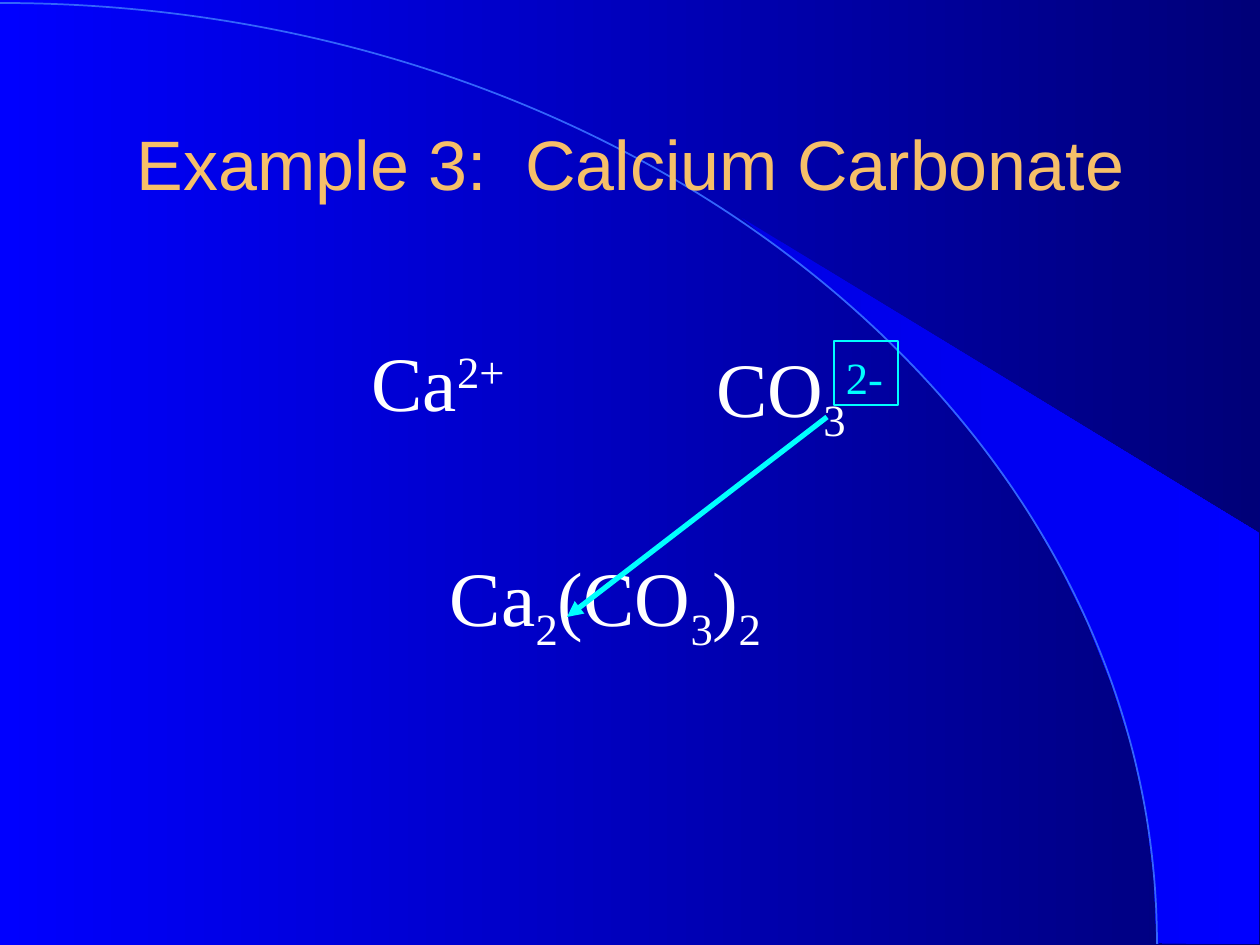
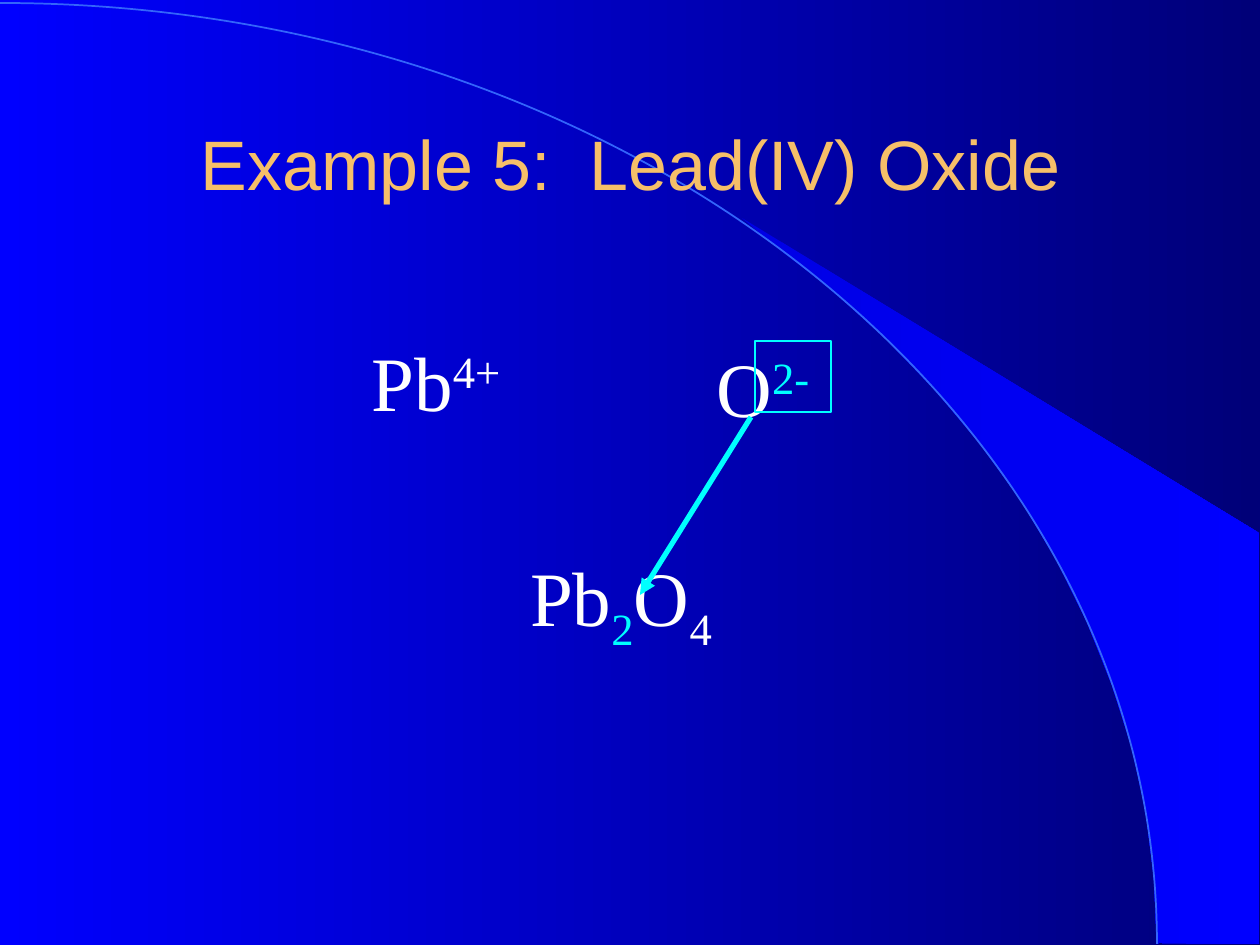
import math

from lxml import etree
from pptx import Presentation
from pptx import util as u
from pptx.dml.color import RGBColor
from pptx.enum import shapes, text
from pptx.oxml.ns import qn

PX = 914400 / 126
WHITE = RGBColor(0xFF, 0xFF, 0xFF)
CYAN = RGBColor(0x00, 0xFF, 0xFF)
GOLD = RGBColor(0xF6, 0xBF, 0x69)
ARC_BLUE = RGBColor(0x33, 0x65, 0xFB)
BACK = (RGBColor(0x00, 0x00, 0xFF), RGBColor(0x00, 0x00, 0x78))
WEDGE = (RGBColor(0x00, 0x00, 0xE5), RGBColor(0x00, 0x00, 0xFF))
SUB, SUP = -25000, 30000

# Start, two control points and end of the quarter ellipse
ARC = [(0, 3), (640, 3), (1157, 425), (1157, 944)]
# The wedge follows the same ellipse in steps of four degrees
WEDGE_EDGE = [(742, 218)] + [
    (round(1157 * math.sin(math.radians(a))),
     round(944 - 941 * math.cos(math.radians(a)))) for a in range(42, 91, 4)
] + [(1159, 943), (1259, 944), (1259, 533)]

# Formula boxes: (left, top, width), alignment, runs of (text, baseline, colour)
LEFT, CENTER = text.PP_ALIGN.LEFT, text.PP_ALIGN.CENTER
SLIDES = [
    dict(title="Example 3:  Calcium Carbonate",
         formulas=[
             ((359, 328, 168), LEFT, [("Ca", 0, WHITE), ("2+", SUP, WHITE)]),
             ((704, 334, 209), LEFT,
              [("CO", 0, WHITE), ("3", SUB, WHITE), ("2-", SUP, CYAN)]),
             ((429, 543, 353), CENTER,
              [("Ca", 0, WHITE), ("2", SUB, WHITE), ("(CO", 0, WHITE),
               ("3", SUB, WHITE), (")", 0, WHITE), ("2", SUB, WHITE)])],
         charge_box=(834, 341, 64, 64),
         arrow=(827, 417, 567, 617)),
    dict(title="Example 5:  Lead(IV) Oxide",
         formulas=[
             ((359, 328, 189), LEFT, [("Pb", 0, WHITE), ("4+", SUP, WHITE)]),
             ((704, 334, 209), LEFT, [("O", 0, WHITE), ("2-", SUP, CYAN)]),
             ((429, 543, 384), CENTER,
              [("Pb", 0, WHITE), ("2", SUB, CYAN), ("O", 0, WHITE),
               ("4", SUB, WHITE)])],
         charge_box=(755, 341, 76, 71),
         arrow=(751, 417, 640, 595)),
]


def px(*lengths):
    return [u.Emu(round(n * PX)) for n in lengths]


def set_gradient(fill, colours):
    """Fill from left to right with two colours."""
    fill.gradient()
    fill.gradient_angle = 0
    for stop, colour, position in zip(fill.gradient_stops, colours, (0, 1)):
        stop.color.rgb = colour
        stop.position = position


prs = Presentation()
prs.slide_width, prs.slide_height = px(1260, 945)

for content in SLIDES:
    s = prs.slides.add_slide(prs.slide_layouts[6])
    set_gradient(s.background.fill, BACK)

    for points, closed in ((WEDGE_EDGE, True), (ARC, False)):
        fb = s.shapes.build_freeform(*points[0], scale=PX)
        fb.add_line_segments(points[1:], close=closed)
        sp = fb.convert_to_shape()
        sp.shadow.inherit = False
        if closed:
            set_gradient(sp.fill, WEDGE)
            sp.line.fill.background()
        else:
            # Join the three line segments into one Bezier curve
            outline = next(sp._element.iter(qn("a:path")))
            segments = outline.findall(qn("a:lnTo"))
            curve = etree.SubElement(outline, qn("a:cubicBezTo"))
            for segment in segments:
                curve.append(segment[0])
                outline.remove(segment)
            sp.fill.background()
            sp.line.color.rgb = ARC_BLUE
            sp.line.width = u.Pt(1)

    tf = s.shapes.add_textbox(*px(95, 84, 1071, 158)).text_frame
    tf.word_wrap = True
    tf.vertical_anchor = text.MSO_ANCHOR.MIDDLE
    p = tf.paragraphs[0]
    p.text = content["title"]
    p.alignment = CENTER
    r = p.runs[0]
    r.font.name, r.font.size = "Arial", u.Pt(40)
    r.font.color.rgb = GOLD

    for place, alignment, runs in content["formulas"]:
        tf = s.shapes.add_textbox(*px(*place, 105)).text_frame
        tf.word_wrap = True
        p = tf.paragraphs[0]
        p.alignment = alignment
        for part, baseline, colour in runs:
            r = p.add_run()
            r.text = part
            r.font.name, r.font.size = "Times New Roman", u.Pt(44)
            r.font.color.rgb = colour
            if baseline:
                r._r.get_or_add_rPr().set("baseline", str(baseline))

    box = s.shapes.add_shape(shapes.MSO_SHAPE.RECTANGLE,
                             *px(*content["charge_box"]))
    box.shadow.inherit = False
    box.fill.background()
    box.line.color.rgb = CYAN
    box.line.width = u.Pt(1)

    arrow = s.shapes.add_connector(shapes.MSO_CONNECTOR.STRAIGHT,
                                   *px(*content["arrow"]))
    arrow.line.color.rgb = CYAN
    arrow.line.width = u.Pt(3)
    etree.SubElement(arrow.line._get_or_add_ln(), qn("a:tailEnd"),
                     type="triangle")
    etree.SubElement(arrow._element.spPr, qn("a:effectLst"))

prs.save("out.pptx")
